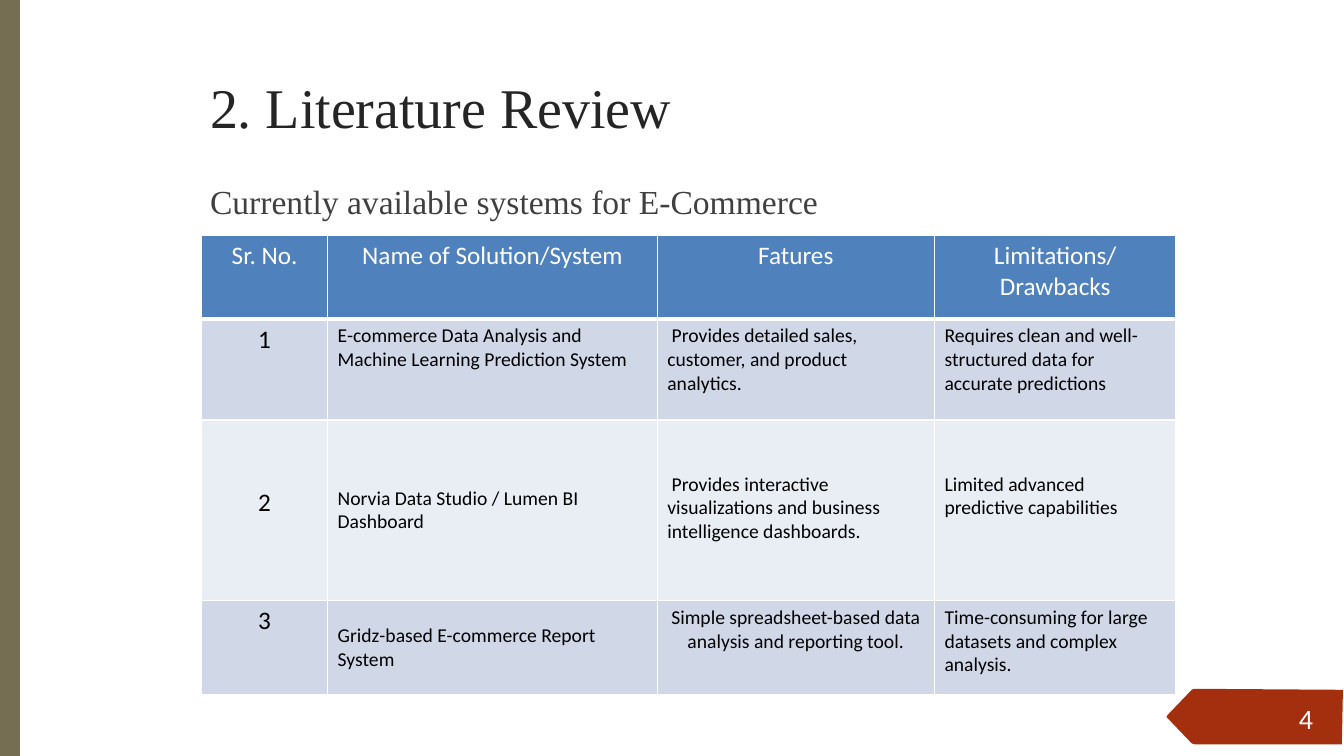
from lxml.etree import SubElement
from pptx import Presentation
from pptx.dml.color import RGBColor
from pptx.enum.text import MSO_ANCHOR, MSO_AUTO_SIZE, PP_ALIGN
from pptx.oxml.ns import qn
from pptx.util import Pt

SCALE = 9525  # EMU in one px, 96 px to the inch
SERIF, SANS = "Times New Roman", "Calibri"
COLORS = {
    "white": "FFFFFF", "black": "000000", "olive": "766E53", "rust": "A42F0F",
    "title": "252525", "body": "404040",
    "head": "4F81BD", "dark": "D0D8E8", "light": "E9EDF4",
}
ARROW = [(1137, 656), (1135, 657), (1112, 681), (1111, 683), (1112, 684),
         (1135, 708), (1138, 709), (1278, 709), (1279, 657)]
BAR = [(0, 0), (19, 0), (19, 720), (0, 720)]

COLS = [120, 314, 264, 230]
ROWS = [80, 96, 172, 90]
CELLS = [
    ["Sr. No.", "Name of Solution/System", "Fatures", "Limitations/\nDrawbacks"],
    ["1", "E-commerce Data Analysis and Machine Learning Prediction System",
     " Provides detailed sales, customer, and product analytics.",
     "Requires clean and well-structured data for accurate predictions"],
    ["2", "Norvia Data Studio / Lumen BI Dashboard",
     " Provides interactive visualizations and business intelligence dashboards.",
     "Limited advanced predictive capabilities"],
    ["3", "Gridz-based E-commerce Report System",
     "Simple spreadsheet-based data analysis and reporting tool.",
     "Time-consuming for large datasets and complex analysis."],
]
MIDDLE = {(2, 1), (3, 1)}
DROPS = {(2, 0): 64, (2, 2): 50, (2, 3): 50}  # top margins in px


def px(size):
    return size * SCALE


def color(name):
    return RGBColor.from_string(COLORS[name])


def style(frame, size, face, shade, align=PP_ALIGN.LEFT):
    for para in frame.paragraphs:
        para.alignment = align
        for run in para.runs:
            run.font.size, run.font.name = Pt(size), face
            run.font.bold = False
            run.font.color.rgb = color(shade)


def place(shape, left, top, width, height):
    shape.left, shape.top = px(left), px(top)
    shape.width, shape.height = px(width), px(height)


def fill_holder(shape, text, box, size, shade):
    place(shape, *box)
    frame = shape.text_frame
    frame.text = text
    frame.word_wrap = True
    frame.auto_size = MSO_AUTO_SIZE.NONE
    frame.vertical_anchor = MSO_ANCHOR.TOP
    frame.margin_left = frame.margin_right = 0
    frame.margin_top = frame.margin_bottom = 0
    style(frame, size, SERIF, shade)
    para = frame.paragraphs[0]
    para.space_before = Pt(0)
    props = para._p.get_or_add_pPr()
    props.set("marL", "0")
    props.set("indent", "0")
    SubElement(props, qn("a:buNone"))


def add_outline(slide, points, shade):
    pen = slide.shapes.build_freeform(*points[0], scale=SCALE)
    pen.add_line_segments(points[1:], close=True)
    shape = pen.convert_to_shape()
    shape.shadow.inherit = False
    shape.fill.solid()
    shape.fill.fore_color.rgb = color(shade)
    shape.line.fill.background()


def add_number(slide, text):
    box = slide.shapes.add_textbox(px(1178), px(665), px(82), px(38))
    frame = box.text_frame
    frame.text = text
    frame.word_wrap = True
    frame.vertical_anchor = MSO_ANCHOR.MIDDLE
    style(frame, 20, SANS, "white", PP_ALIGN.RIGHT)


def add_edges(cell, head):
    props = cell._tc.get_or_add_tcPr()
    for side in "LRTB":
        width = Pt(3) if head and side == "B" else Pt(1)
        line = SubElement(props, qn(f"a:ln{side}"), w=str(width))
        paint = SubElement(line, qn("a:solidFill"))
        SubElement(paint, qn("a:srgbClr"), val=COLORS["white"])


def fill_cell(cell, row, col):
    head = row == 0
    cell.text = CELLS[row][col]
    add_edges(cell, head)
    cell.fill.solid()
    shade = "head" if head else "dark" if row % 2 else "light"
    cell.fill.fore_color.rgb = color(shade)
    if (row, col) in MIDDLE:
        cell.vertical_anchor = MSO_ANCHOR.MIDDLE
    if (row, col) in DROPS:
        cell.margin_top = px(DROPS[row, col])
    large = head or col == 0
    center = large or (row, col) == (3, 2)
    style(cell.text_frame, 18 if large else 14, SANS,
          "white" if head else "black",
          PP_ALIGN.CENTER if center else PP_ALIGN.LEFT)


def add_grid(slide):
    frame = slide.shapes.add_table(len(ROWS), len(COLS), px(192), px(224),
                                   px(sum(COLS)), px(sum(ROWS)))
    table = frame.table
    for col, width in enumerate(COLS):
        table.columns[col].width = px(width)
    for row, height in enumerate(ROWS):
        table.rows[row].height = px(height)
        for col in range(len(COLS)):
            fill_cell(table.cell(row, col), row, col)


def main():
    deck = Presentation()
    deck.slide_width, deck.slide_height = px(1280), px(720)
    slide = deck.slides.add_slide(deck.slide_layouts[1])

    # Side bar and page arrow
    add_outline(slide, BAR, "olive")
    add_outline(slide, ARROW, "rust")

    # Title and lead line
    fill_holder(slide.shapes.title, "2. Literature Review",
                (200, 69, 508, 91), 40, "title")
    fill_holder(slide.placeholders[1], "Currently available systems for E-Commerce",
                (200, 172, 1008, 38), 24, "body")

    # Page number and table
    add_number(slide, "4")
    add_grid(slide)
    deck.save("out.pptx")


if __name__ == "__main__":
    main()
